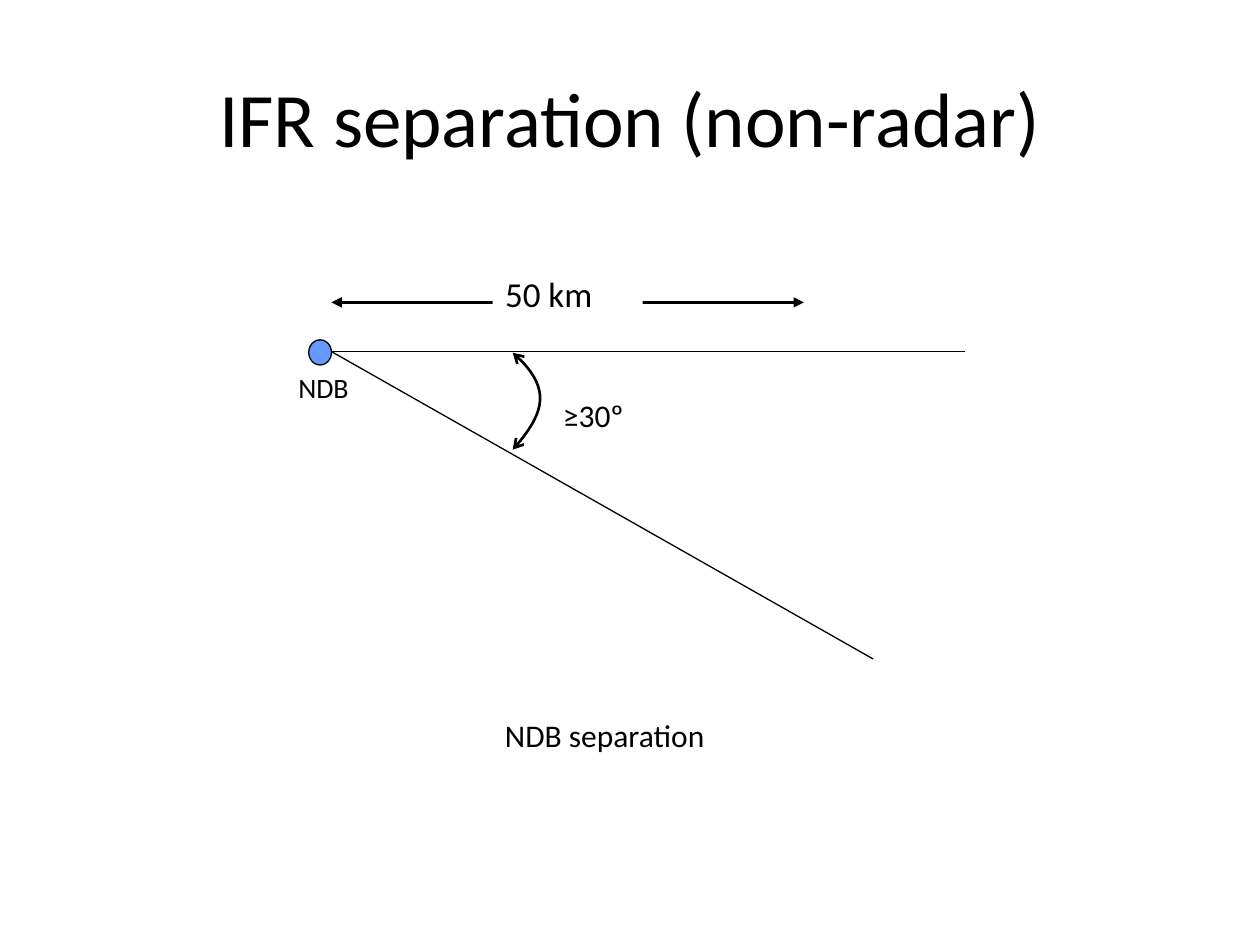
from lxml import etree
from pptx import Presentation
from pptx import util as u
from pptx.dml.color import RGBColor
from pptx.enum import shapes, text
from pptx.oxml.ns import qn

Pt = u.Pt
BLACK = RGBColor(0x00, 0x00, 0x00)
WHITE = RGBColor(0xFF, 0xFF, 0xFF)
BEACON_BLUE = RGBColor(0x66, 0x99, 0xFF)
FONT = "Calibri"
BEACON = (189.4, 200.9)  # where both tracks start


def add_text(s, content, left, top, width, height, size=18, fill=None,
             align=text.PP_ALIGN.LEFT, anchor=text.MSO_ANCHOR.TOP):
    sp = s.shapes.add_textbox(Pt(left), Pt(top), Pt(width), Pt(height))
    if fill is not None:
        sp.fill.solid()
        sp.fill.fore_color.rgb = fill
    tf = sp.text_frame
    tf.word_wrap = True
    tf.vertical_anchor = anchor
    p = tf.paragraphs[0]
    p.alignment = align
    r = p.add_run()
    r.text = content
    r.font.name = FONT
    r.font.size = Pt(size)
    r.font.color.rgb = BLACK


def style_line(sp, width, arrow=None):
    sp.line.color.rgb = BLACK
    sp.line.width = Pt(width)
    if arrow:
        ln = sp.line._get_or_add_ln()
        for end in ("a:headEnd", "a:tailEnd"):
            etree.SubElement(ln, qn(end), type=arrow)


def add_line(s, start, end, width=0.75, arrow=None):
    sp = s.shapes.add_connector(shapes.MSO_CONNECTOR.STRAIGHT,
                                *map(Pt, start + end))
    style_line(sp, width, arrow)
    etree.SubElement(sp._element.spPr, qn("a:effectLst"))


def add_beacon(s, left, top, width, height):
    sp = s.shapes.add_shape(shapes.MSO_SHAPE.OVAL,
                            Pt(left), Pt(top), Pt(width), Pt(height))
    sp.shadow.inherit = False
    sp.fill.solid()
    sp.fill.fore_color.rgb = BEACON_BLUE
    style_line(sp, 0.75)


def add_curve(s, start, *controls_and_end):
    fb = s.shapes.build_freeform(Pt(start[0]), Pt(start[1]))
    fb.add_line_segments([(Pt(x), Pt(y)) for x, y in controls_and_end],
                         close=False)
    sp = fb.convert_to_shape()
    # Turn the three straight segments into one cubic Bezier
    segments = list(sp._element.iter(qn("a:lnTo")))
    bezier = etree.SubElement(segments[0].getparent(), qn("a:cubicBezTo"))
    for segment in segments:
        bezier.append(segment[0])
        segment.getparent().remove(segment)
    sp.shadow.inherit = False
    sp.fill.background()
    style_line(sp, 1.5, "arrow")


def main():
    prs = Presentation()
    prs.slide_width, prs.slide_height = Pt(720), Pt(540)
    s = prs.slides.add_slide(prs.slide_layouts[6])

    # Title
    add_text(s, "IFR separation (non-radar)", 36, 21.6, 648, 90, size=44,
             align=text.PP_ALIGN.CENTER, anchor=text.MSO_ANCHOR.MIDDLE)

    # Distance along the first track
    add_line(s, BEACON, (551.5, 200.9))
    add_line(s, (189.4, 172.8), (459.4, 172.8), 1.5, "triangle")
    add_text(s, "50 km", 281.5, 151.9, 85.7, 36.7, size=20, fill=WHITE)

    # Beacon and second track
    add_beacon(s, 176.4, 194.2, 13, 14.4)
    add_line(s, BEACON, (499, 376.6))
    add_text(s, "NDB", 163.4, 208.1, 59, 31, size=16)

    # Angle between the tracks
    add_curve(s, (293, 201.6), (314.6, 219.6), (310.3, 238.3), (293, 257))
    add_text(s, "≥30º", 314.6, 222.5, 59, 33.8)

    # Caption
    add_text(s, "NDB separation", 281.5, 405.4, 163.4, 28.8)

    prs.save("out.pptx")


if __name__ == "__main__":
    main()
